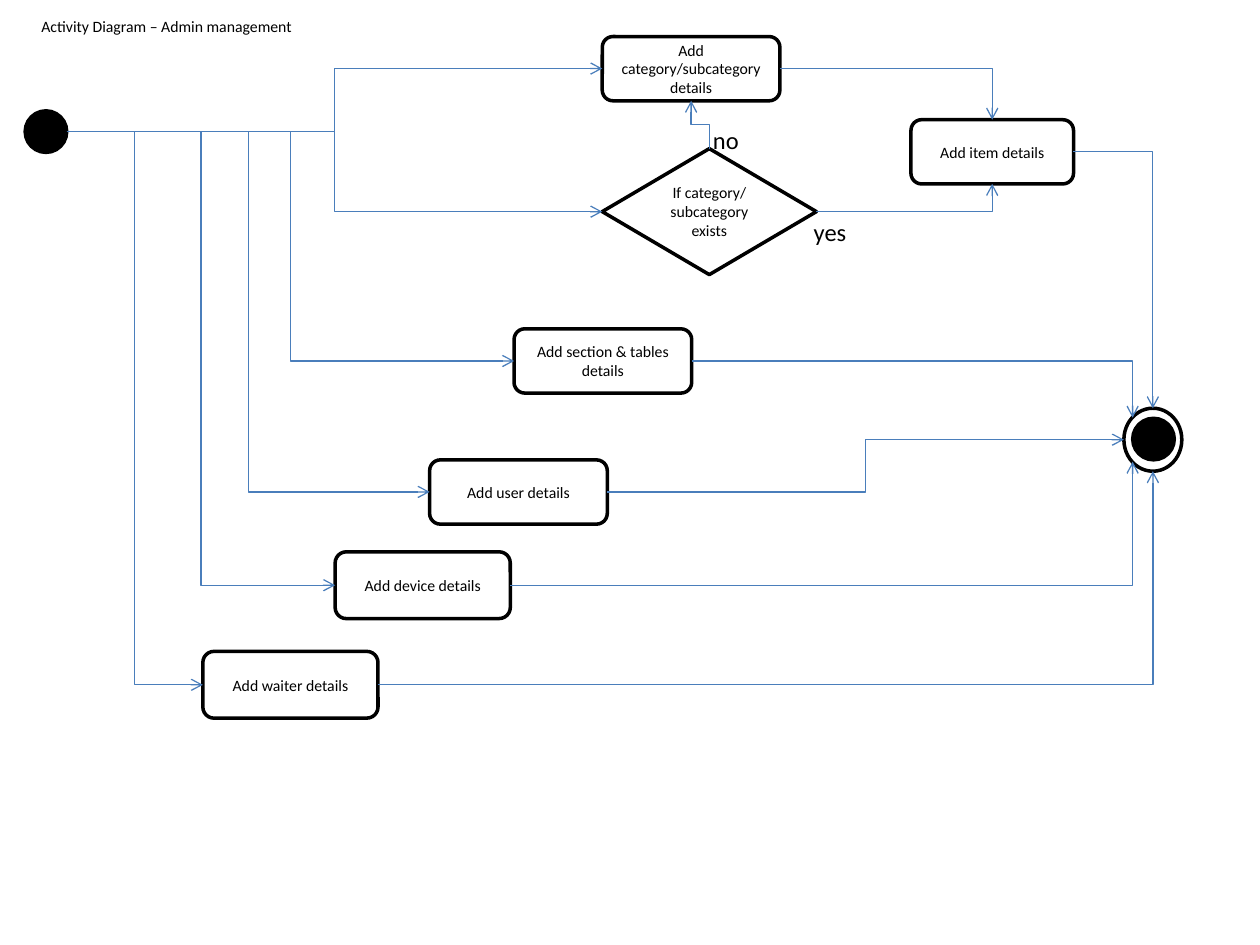
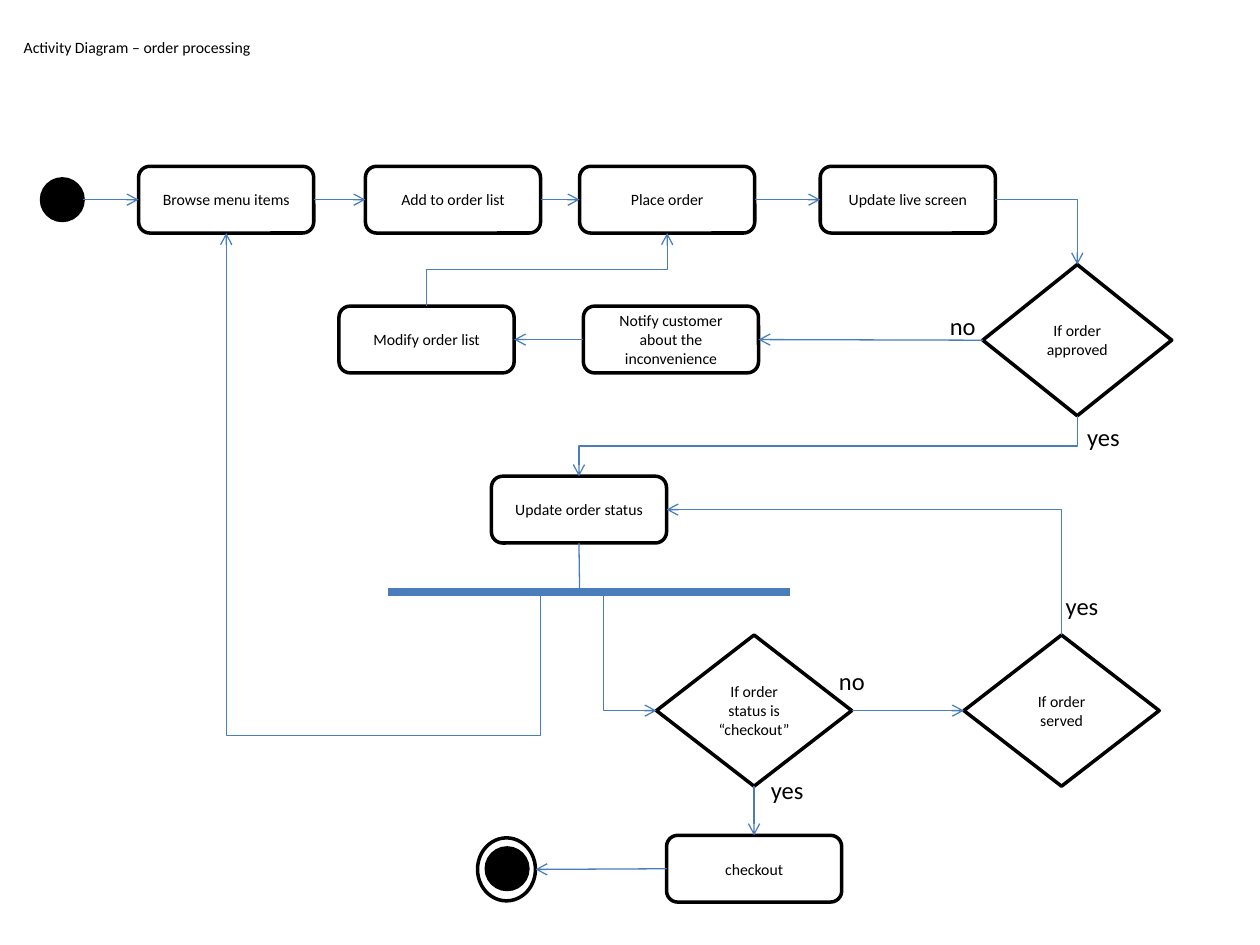
from dataclasses import dataclass
from enum import Enum
from typing import NamedTuple, Union

from pptx import Presentation
from pptx.dml.color import RGBColor
from pptx.enum.shapes import MSO_CONNECTOR as Route, MSO_SHAPE as Preset
from pptx.enum.text import MSO_ANCHOR, MSO_AUTO_SIZE, PP_ALIGN
from pptx.oxml.ns import qn
from pptx.oxml.xmlchemy import OxmlElement
from pptx.shapes.autoshape import Shape
from pptx.shapes.connector import Connector
from pptx.slide import Slide
from pptx.util import Inches, Pt


@dataclass(frozen=True)
class Theme:
    ink: RGBColor = RGBColor(0x00, 0x00, 0x00)
    paper: RGBColor = RGBColor(0xFF, 0xFF, 0xFF)
    flow: RGBColor = RGBColor(0x4A, 0x7E, 0xBB)
    font: str = "Calibri"
    body_size: int = 9
    answer_size: int = 14
    outline: float = 2
    flow_width: float = 0.75
    bar_width: float = 4.5


THEME = Theme()


class Side(Enum):
    """Fraction across, fraction down, site on a box, site on an ellipse."""
    TOP = (0.5, 0, 0, 0)
    LEFT = (0, 0.5, 1, 2)
    BOTTOM = (0.5, 1, 2, 4)
    RIGHT = (1, 0.5, 3, 6)
    TOP_LEFT = (0.15, 0.15, 1, 1)
    BOTTOM_LEFT = (0.15, 0.85, 1, 3)


class Point(NamedTuple):
    x: float
    y: float


class Node(NamedTuple):
    left: float
    top: float
    width: float
    height: float
    text: str = ""
    preset: Preset = Preset.ROUNDED_RECTANGLE


class Caption(NamedTuple):
    text: str
    left: float
    top: float
    width: float
    height: float = 0.34
    size: int = THEME.answer_size


@dataclass(frozen=True)
class Flow:
    start: Union[str, Point]
    start_side: Side
    end: Union[str, Point]
    end_side: Side
    bends: int = 0
    turn: float = 0.5
    arrow: bool = True


@dataclass(frozen=True)
class Diagram:
    title: Caption
    start: Point
    finish: Point
    nodes: dict[str, Node]
    answers: list[Caption]
    flows: list[Flow]
    bar: tuple[Point, ...] = ()


# Node and caption kinds
def step(text: str, left: float, top: float) -> Node:
    return Node(left, top, 1.39, 0.53, text)


def wide_step(text: str, left: float, top: float, width: float = 1.41) -> Node:
    return Node(left, top, width, 0.51, text)


def decision(text: str, left: float, top: float, width: float, height: float = 1.2) -> Node:
    return Node(left, top, width, height, text, Preset.DIAMOND)


def dot(left: float, top: float) -> Node:
    return Node(left, top, 0.33, 0.33, preset=Preset.OVAL)


def title(text: str, left: float, top: float, width: float) -> Caption:
    return Caption(text, left, top, width, 0.25, THEME.body_size)


def yes(left: float, top: float) -> Caption:
    return Caption("yes", left, top, 0.48)


def no(left: float, top: float) -> Caption:
    return Caption("no", left, top, 0.44)


# Drawing
def style_text(shape: Shape, text: str, size: int) -> None:
    paragraph = shape.text_frame.paragraphs[0]
    paragraph.text = text
    paragraph.font.name = THEME.font
    paragraph.font.size = Pt(size)
    paragraph.font.color.rgb = THEME.ink


def draw_node(slide: Slide, node: Node, fill: RGBColor = THEME.paper) -> Shape:
    shape = slide.shapes.add_shape(
        node.preset, Inches(node.left), Inches(node.top), Inches(node.width), Inches(node.height))
    shape.shadow.inherit = False
    shape.fill.solid()
    shape.fill.fore_color.rgb = fill
    shape.line.color.rgb = THEME.ink
    shape.line.width = Pt(THEME.outline)
    if node.text:
        style_text(shape, node.text, THEME.body_size)
        shape.text_frame.word_wrap = True
        shape.text_frame.vertical_anchor = MSO_ANCHOR.MIDDLE
        shape.text_frame.paragraphs[0].alignment = PP_ALIGN.CENTER
    return shape


def draw_caption(slide: Slide, caption: Caption) -> None:
    box = slide.shapes.add_textbox(Inches(caption.left), Inches(caption.top),
                                   Inches(caption.width), Inches(caption.height))
    box.text_frame.word_wrap = False
    box.text_frame.auto_size = MSO_AUTO_SIZE.SHAPE_TO_FIT_TEXT
    style_text(box, caption.text, caption.size)


def draw_line(slide: Slide, route: Route, start: Point, end: Point, width: float) -> Connector:
    line = slide.shapes.add_connector(
        route, Inches(start.x), Inches(start.y), Inches(end.x), Inches(end.y))
    line.line.color.rgb = THEME.flow
    line.line.width = Pt(width)
    line._element.spPr.append(OxmlElement("a:effectLst"))
    return line


def site(node: Node, side: Side) -> Point:
    across, down = side.value[:2]
    return Point(node.left + across * node.width, node.top + down * node.height)


def glue(line: Connector, flow: Flow, nodes: dict[str, Node], shapes: dict[str, Shape]) -> None:
    for target, side, connect, tag in (
            (flow.start, flow.start_side, line.begin_connect, "a:stCxn"),
            (flow.end, flow.end_side, line.end_connect, "a:endCxn")):
        if isinstance(target, Point):
            continue
        connect(shapes[target], side.value[2])
        if nodes[target].preset == Preset.OVAL:
            line._element.find(".//" + qn(tag)).set("idx", str(side.value[3]))


def place(line: Connector, start: Point, end: Point) -> None:
    line.begin_x, line.begin_y = Inches(start.x), Inches(start.y)
    line.end_x, line.end_y = Inches(end.x), Inches(end.y)


def bend(line: Connector, flow: Flow, start: Point, end: Point) -> None:
    geometry = line._element.spPr.find(qn("a:prstGeom"))
    geometry.set("prst", f"bentConnector{flow.bends + 1}")
    if flow.bends == 2:
        guide = OxmlElement("a:gd")
        guide.set("name", "adj1")
        guide.set("fmla", f"val {round(flow.turn * 100000)}")
        geometry.get_or_add_avLst().append(guide)
    # A route that leaves vertically is a horizontal one turned about its centre
    if flow.start_side in (Side.TOP, Side.BOTTOM):
        dx, dy = end.x - start.x, end.y - start.y
        turned_x, turned_y = (dy, -dx) if dy > 0 else (-dy, dx)
        mid = Point((start.x + end.x) / 2, (start.y + end.y) / 2)
        place(line, Point(mid.x - turned_x / 2, mid.y - turned_y / 2),
              Point(mid.x + turned_x / 2, mid.y + turned_y / 2))
        line.rotation = 90 if dy > 0 else 270


def draw_flow(slide: Slide, flow: Flow, nodes: dict[str, Node], shapes: dict[str, Shape]) -> None:
    start, end = (
        target if isinstance(target, Point) else site(nodes[target], side)
        for target, side in ((flow.start, flow.start_side), (flow.end, flow.end_side)))
    route = Route.ELBOW if flow.bends else Route.STRAIGHT
    line = draw_line(slide, route, start, end, THEME.flow_width)
    glue(line, flow, nodes, shapes)
    place(line, start, end)
    if flow.bends:
        bend(line, flow, start, end)
    if flow.arrow:
        head = OxmlElement("a:tailEnd")
        head.set("type", "arrow")
        line.line._get_or_add_ln().append(head)


def draw_diagram(slide: Slide, diagram: Diagram) -> None:
    start, finish = diagram.start, diagram.finish
    draw_caption(slide, diagram.title)
    nodes = {
        "start": dot(start.x, start.y),
        "finish": Node(finish.x, finish.y, 0.46, 0.5, preset=Preset.OVAL),
        **diagram.nodes,
    }
    shapes = {key: draw_node(slide, node, THEME.ink if key == "start" else THEME.paper)
              for key, node in nodes.items()}
    draw_node(slide, dot(finish.x + 0.07, finish.y + 0.08), THEME.ink)
    if diagram.bar:
        draw_line(slide, Route.STRAIGHT, *diagram.bar, THEME.bar_width)
    for flow in diagram.flows:
        draw_flow(slide, flow, nodes, shapes)
    for answer in diagram.answers:
        draw_caption(slide, answer)


# Content
ADMIN = Diagram(
    title=title("Activity Diagram – Admin management", 0.23, 0.08, 2.22),
    start=Point(0.2, 0.88),
    finish=Point(8.92, 3.24),
    nodes={
        "category": wide_step("Add category/subcategory details", 4.78, 0.29),
        "item": wide_step("Add item details", 7.23, 0.95, 1.29),
        "exists": decision("If category/ subcategory exists", 4.78, 1.18, 1.7, 1),
        "section": wide_step("Add section & tables details", 4.08, 2.61),
        "user": wide_step("Add user details", 3.41, 3.65),
        "device": step("Add device details", 2.66, 4.38),
        "waiter": step("Add waiter details", 1.61, 5.17),
    },
    answers=[no(5.56, 0.94), yes(6.36, 1.67)],
    flows=[
        *(Flow("start", Side.RIGHT, task, Side.LEFT, 2)
          for task in ("category", "exists", "section", "user", "device", "waiter")),
        Flow("category", Side.RIGHT, "item", Side.TOP, 1),
        Flow("exists", Side.RIGHT, "item", Side.BOTTOM, 1),
        Flow("exists", Side.TOP, "category", Side.BOTTOM, 2),
        Flow("item", Side.RIGHT, "finish", Side.TOP, 1),
        Flow("section", Side.RIGHT, "finish", Side.TOP_LEFT, 1),
        Flow("user", Side.RIGHT, "finish", Side.LEFT, 2),
        Flow("device", Side.RIGHT, "finish", Side.BOTTOM_LEFT, 1),
        Flow("waiter", Side.RIGHT, "finish", Side.BOTTOM, 1),
    ],
)

ORDER_ROW = ("start", "browse", "add", "place", "live")
ORDERS = Diagram(
    title=title("Activity Diagram – order processing", 0.09, 0.25, 2.03),
    start=Point(0.33, 1.42),
    finish=Point(3.79, 6.65),
    nodes={
        "browse": step("Browse menu items", 1.1, 1.32),
        "add": step("Add to order list", 2.9, 1.32),
        "place": step("Place order", 4.6, 1.32),
        "live": step("Update live screen", 6.51, 1.32),
        "approved": decision("If order approved", 7.8, 2.1, 1.5),
        "notify": step("Notify customer about the inconvenience", 4.63, 2.43),
        "modify": step("Modify order list", 2.69, 2.43),
        "status": step("Update order status", 3.9, 3.78),
        "is checkout": decision("If order status is “checkout”", 5.21, 5.04, 1.55),
        "served": decision("If order served", 7.65, 5.04, 1.55),
        "checkout": step("checkout", 5.29, 6.63),
    },
    answers=[no(7.44, 2.42), yes(8.53, 3.3), yes(6.02, 6.1), no(6.56, 5.24), yes(8.36, 4.64)],
    flows=[
        *(Flow(before, Side.RIGHT, after, Side.LEFT)
          for before, after in zip(ORDER_ROW, ORDER_ROW[1:])),
        Flow("live", Side.RIGHT, "approved", Side.TOP, 1),
        Flow("approved", Side.LEFT, "notify", Side.RIGHT),
        Flow("notify", Side.LEFT, "modify", Side.RIGHT),
        Flow("modify", Side.TOP, "place", Side.BOTTOM, 2),
        Flow("approved", Side.BOTTOM, "status", Side.TOP, 2),
        Flow("status", Side.BOTTOM, Point(4.6, 4.7), Side.TOP, arrow=False),
        Flow(Point(4.29, 4.7), Side.BOTTOM, "browse", Side.BOTTOM, 2, turn=-0.4),
        Flow(Point(4.79, 4.7), Side.BOTTOM, "is checkout", Side.LEFT, 1),
        Flow("is checkout", Side.RIGHT, "served", Side.LEFT),
        Flow("served", Side.TOP, "status", Side.RIGHT, 1),
        Flow("is checkout", Side.BOTTOM, "checkout", Side.TOP),
        Flow("checkout", Side.LEFT, "finish", Side.RIGHT),
    ],
    bar=(Point(3.08, 4.7), Point(6.27, 4.7)),
)


def main() -> None:
    deck = Presentation()
    deck.slide_width, deck.slide_height = Inches(10), Inches(7.5)
    for diagram in (ADMIN, ORDERS):
        draw_diagram(deck.slides.add_slide(deck.slide_layouts[6]), diagram)
    deck.save("out.pptx")


if __name__ == "__main__":
    main()
